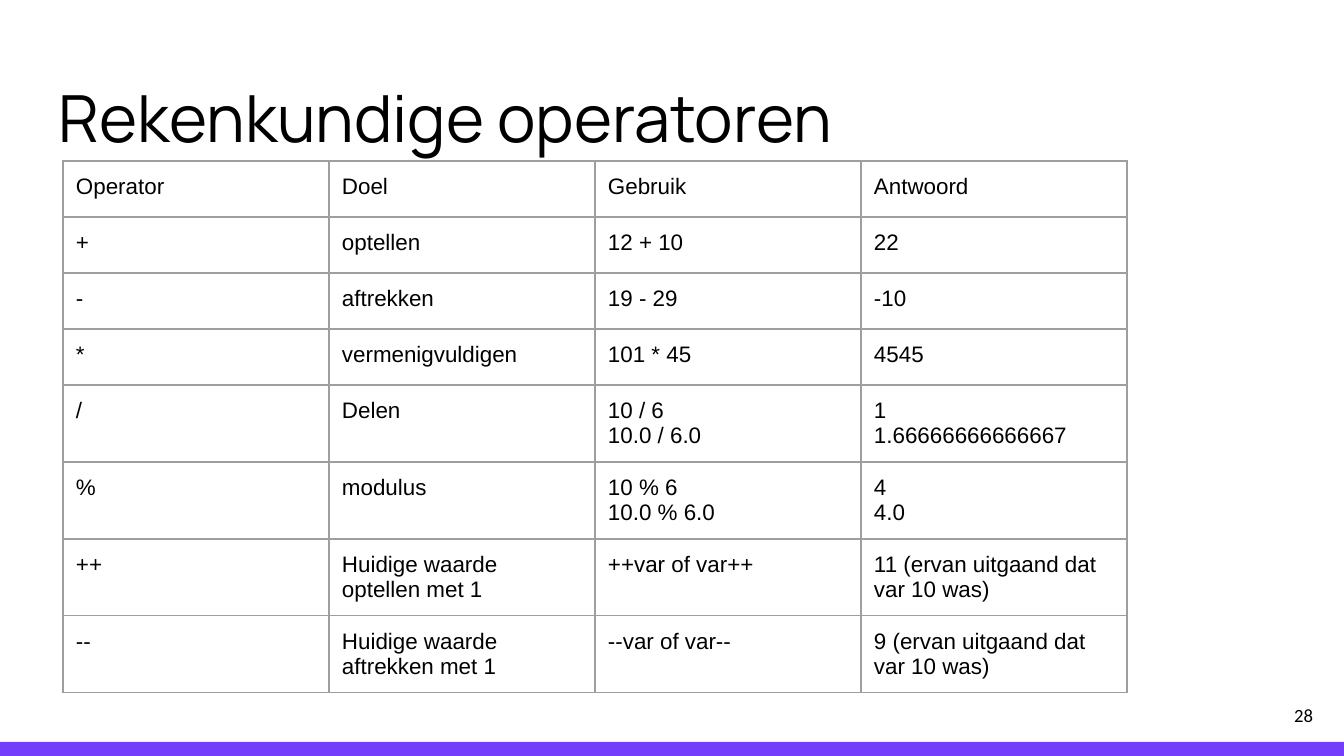
from lxml.etree import SubElement
from pptx import Presentation
from pptx.dml.color import RGBColor
from pptx.enum.shapes import MSO_SHAPE
from pptx.enum.text import MSO_ANCHOR, MSO_AUTO_SIZE, PP_ALIGN
from pptx.oxml.ns import qn
from pptx.util import Pt

SCALE = 914400 / 134.4
INSET = 13
ROWS = [
    ["Operator", "Doel", "Gebruik", "Antwoord"],
    ["+", "optellen", "12 + 10", "22"],
    ["-", "aftrekken", "19 - 29", "-10"],
    ["*", "vermenigvuldigen", "101 * 45", "4545"],
    ["/", "Delen", "10 / 6\n10.0 / 6.0", "1\n1.66666666666667"],
    ["%", "modulus", "10 % 6\n10.0 % 6.0", "4\n4.0"],
    ["++", "Huidige waarde optellen met 1", "++var of var++",
     "11 (ervan uitgaand dat var 10 was)"],
    ["--", "Huidige waarde aftrekken met 1", "--var of var--",
     "9 (ervan uitgaand dat var 10 was)"],
]
ROW_HEIGHTS = [56] * 4 + [77] * 4
COL_WIDTH = 266


def px(*values):
    return [round(v * SCALE) for v in values]


def write(tf, text, font, size, align=PP_ALIGN.LEFT):
    tf.text = text
    tf.margin_left = tf.margin_right = tf.margin_top = tf.margin_bottom = px(INSET)[0]
    for p in tf.paragraphs:
        p.alignment = align
        for r in p.runs:
            r.font.name = font
            r.font.size = Pt(size)
            r.font.color.rgb = RGBColor.from_string("000000")


prs = Presentation()
prs.slide_width, prs.slide_height = px(1344, 756)
s = prs.slides.add_slide(prs.slide_layouts[5])

bar = s.shapes.add_shape(MSO_SHAPE.RECTANGLE, *px(0, 742, 1344, 14))
bar.shadow.inherit = False
bar.fill.solid()
bar.fill.fore_color.rgb = RGBColor.from_string("743DFB")
bar.line.fill.background()

title = s.shapes.title
title.left, title.top, title.width, title.height = px(46, 47, 1252, 122)
tf = title.text_frame
write(tf, "Rekenkundige operatoren", "Manrope", 34.8)
tf.vertical_anchor = MSO_ANCHOR.BOTTOM
tf.word_wrap = True
tf.auto_size = MSO_AUTO_SIZE.NONE

table = s.shapes.add_table(
    len(ROWS), len(ROWS[0]),
    *px(63, 161, COL_WIDTH * len(ROWS[0]), sum(ROW_HEIGHTS))).table
table.first_row = False
table.horz_banding = False
for row, height, texts in zip(table.rows, ROW_HEIGHTS, ROWS):
    row.height = px(height)[0]
    for cell, text in zip(row.cells, texts):
        write(cell.text_frame, text, "Arial", 12)
        cell.margin_left = cell.margin_right = px(INSET)[0]
        cell.margin_top = cell.margin_bottom = px(INSET)[0]
        tcPr = cell._tc.get_or_add_tcPr()
        for side in ("a:lnL", "a:lnR", "a:lnT", "a:lnB"):
            ln = SubElement(tcPr, qn(side), w=str(Pt(0.75)))
            fill = SubElement(ln, qn("a:solidFill"))
            SubElement(fill, qn("a:srgbClr"), val="9E9E9E")
        cell.fill.background()

number = s.shapes.add_textbox(*px(1246, 686, 80, 58))
tf = number.text_frame
write(tf, "28", "Calibri", 10, PP_ALIGN.RIGHT)
tf.vertical_anchor = MSO_ANCHOR.MIDDLE
tf.word_wrap = True

prs.save("out.pptx")
